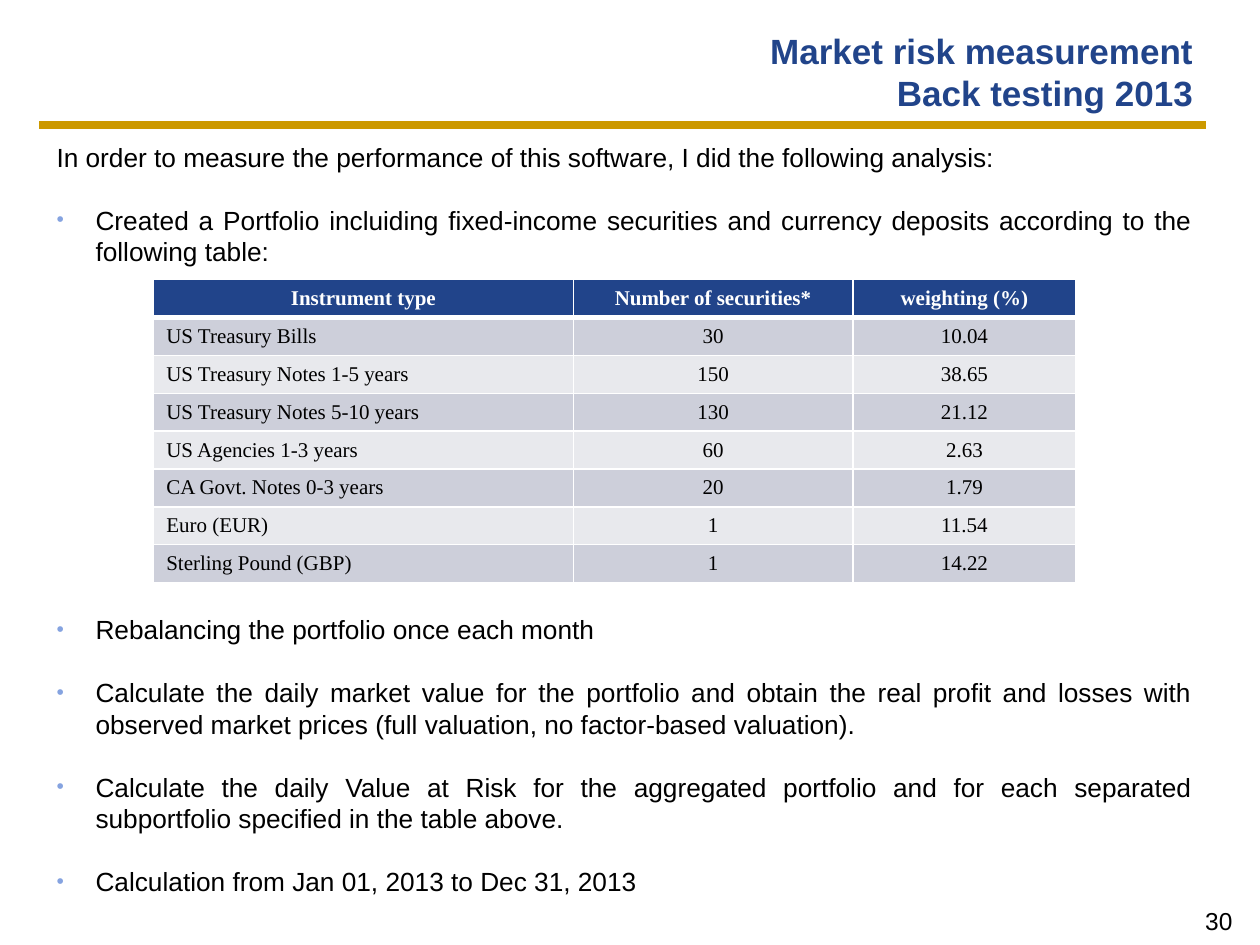
"""Build the slide on back testing a market risk measurement."""
from lxml import etree
from pptx import Presentation, util as u
from pptx.dml.color import RGBColor
from pptx.enum import shapes, text
from pptx.oxml import ns

TITLE = "Market risk measurement\vBack testing 2013"
INTRO = "In order to measure the performance of this software, I did the following analysis:"
STEPS = [
    ("Created a Portfolio incluiding fixed-income securities and currency deposits "
     "according to the following table:", 1),
    ("Rebalancing the portfolio once each month", 11),
    ("Calculate the daily market value for the portfolio and obtain the real profit and "
     "losses with observed market prices (full valuation, no factor-based valuation).", 1),
    ("Calculate the daily Value at Risk for the aggregated portfolio and for each separated "
     "subportfolio specified in the table above.", 1),
    ("Calculation from Jan 01, 2013 to Dec 31, 2013", 1),
]
HOLDINGS = [
    ("Instrument type", "Number of securities*", "weighting (%)"),
    ("US Treasury Bills", "30", "10.04"),
    ("US Treasury Notes 1-5 years", "150", "38.65"),
    ("US Treasury Notes 5-10 years", "130", "21.12"),
    ("US Agencies 1-3 years", "60", "2.63"),
    ("CA Govt. Notes 0-3 years", "20", "1.79"),
    ("Euro (EUR)", "1", "11.54"),
    ("Sterling Pound (GBP)", "1", "14.22"),
]
PAGE_NUMBER = "30"
WIDTHS = (3.33, 2.22, 1.77)
ROW_HEIGHT = 0.28
BODY_LINE = 18
NAVY, GOLD, BULLET, BLACK, WHITE = "21448A", "CC9900", "85A3E0", "000000", "FFFFFF"
BANDS = ("E8E9ED", "CDCFDA")
ALIGN = text.PP_ALIGN
TITLE_FONT = {"name": "Arial", "size": u.Pt(20), "bold": True}
BODY_FONT = {"name": "Arial", "size": u.Pt(15)}
NUMBER_FONT = {"name": "Arial", "size": u.Pt(14)}
HEAD_FONT = {"name": "Times New Roman", "size": u.Pt(12), "bold": True}
CELL_FONT = {**HEAD_FONT, "bold": False}


def rgb(code):
    return RGBColor.from_string(code)


def inches(*values):
    return [u.Inches(value) for value in values]


def write(para, content, font, color, **layout):
    para.text = content
    for name, value in layout.items():
        setattr(para, name, value)
    for span in para.runs:
        for name, value in font.items():
            setattr(span.font, name, value)
        span.font.color.rgb = rgb(color)


def add_bullet(para):
    props = para._p.get_or_add_pPr()
    props.set("marL", str(u.Inches(0.31)))
    props.set("indent", str(-u.Inches(0.31)))
    color = etree.SubElement(props, ns.qn("a:buClr"))
    etree.SubElement(color, ns.qn("a:srgbClr"), val=BULLET)
    etree.SubElement(props, ns.qn("a:buSzPct"), val="80000")
    etree.SubElement(props, ns.qn("a:buFont"), typeface="Arial")
    etree.SubElement(props, ns.qn("a:buChar"), char="•")


def add_borders(cell, bottom):
    props = cell._tc.get_or_add_tcPr()
    for index, (side, points) in enumerate(zip("LRTB", (1, 1, 1, bottom))):
        line = etree.Element(ns.qn(f"a:ln{side}"), w=str(u.Pt(points)))
        fill = etree.SubElement(line, ns.qn("a:solidFill"))
        etree.SubElement(fill, ns.qn("a:srgbClr"), val=WHITE)
        props.insert(index, line)


def add_title(page):
    title = page.shapes.title
    title.left, title.top, title.width, title.height = inches(0.91, 0.21, 8.66, 0.71)
    title.text_frame.vertical_anchor = text.MSO_ANCHOR.MIDDLE
    write(title.text_frame.paragraphs[0], TITLE, TITLE_FONT, NAVY,
          alignment=ALIGN.RIGHT, line_spacing=u.Pt(24))
    rule = page.shapes.add_connector(shapes.MSO_CONNECTOR.STRAIGHT, *inches(9.57, 0.99, 0.31, 0.99))
    rule.line.color.rgb = rgb(GOLD)
    rule.line.width = u.Pt(4.5)
    etree.SubElement(rule._element.spPr, ns.qn("a:effectLst"))


def add_box(page, *place):
    frame = page.shapes.add_textbox(*inches(*place)).text_frame
    frame.word_wrap = True
    return frame


def add_steps(page):
    frame = add_box(page, 0.35, 1.07, 9.21, 5.98)
    layout = {"alignment": ALIGN.JUSTIFY, "line_spacing": u.Pt(BODY_LINE)}
    write(frame.paragraphs[0], INTRO, BODY_FONT, BLACK, **layout)
    for step, lines_before in STEPS:
        para = frame.add_paragraph()
        write(para, step, BODY_FONT, BLACK, space_before=u.Pt(BODY_LINE * lines_before), **layout)
        add_bullet(para)


def add_holdings(page):
    size = (sum(WIDTHS), ROW_HEIGHT * len(HOLDINGS))
    table = page.shapes.add_table(len(HOLDINGS), len(WIDTHS), *inches(1.22, 2.22, *size)).table
    for column, width in zip(table.columns, WIDTHS):
        column.width = u.Inches(width)
    for r, record in enumerate(HOLDINGS):
        table.rows[r].height = u.Inches(ROW_HEIGHT)
        head = r == 0
        for c, value in enumerate(record):
            cell = table.cell(r, c)
            cell.vertical_anchor = text.MSO_ANCHOR.MIDDLE
            cell.fill.solid()
            cell.fill.fore_color.rgb = rgb(NAVY if head else BANDS[r % 2])
            write(cell.text_frame.paragraphs[0], value, HEAD_FONT if head else CELL_FONT,
                  WHITE if head else BLACK, alignment=ALIGN.CENTER if head or c else ALIGN.LEFT)
            add_borders(cell, 3 if head else 1)


def main():
    deck = Presentation()
    deck.slide_width, deck.slide_height = inches(10, 7.5)
    page = deck.slides.add_slide(deck.slide_layouts[5])
    add_title(page)
    add_steps(page)
    number = add_box(page, 7.8, 7.14, 2.08, 0.2)
    write(number.paragraphs[0], PAGE_NUMBER, NUMBER_FONT, BLACK, alignment=ALIGN.RIGHT)
    add_holdings(page)
    deck.save("out.pptx")


if __name__ == "__main__":
    main()
